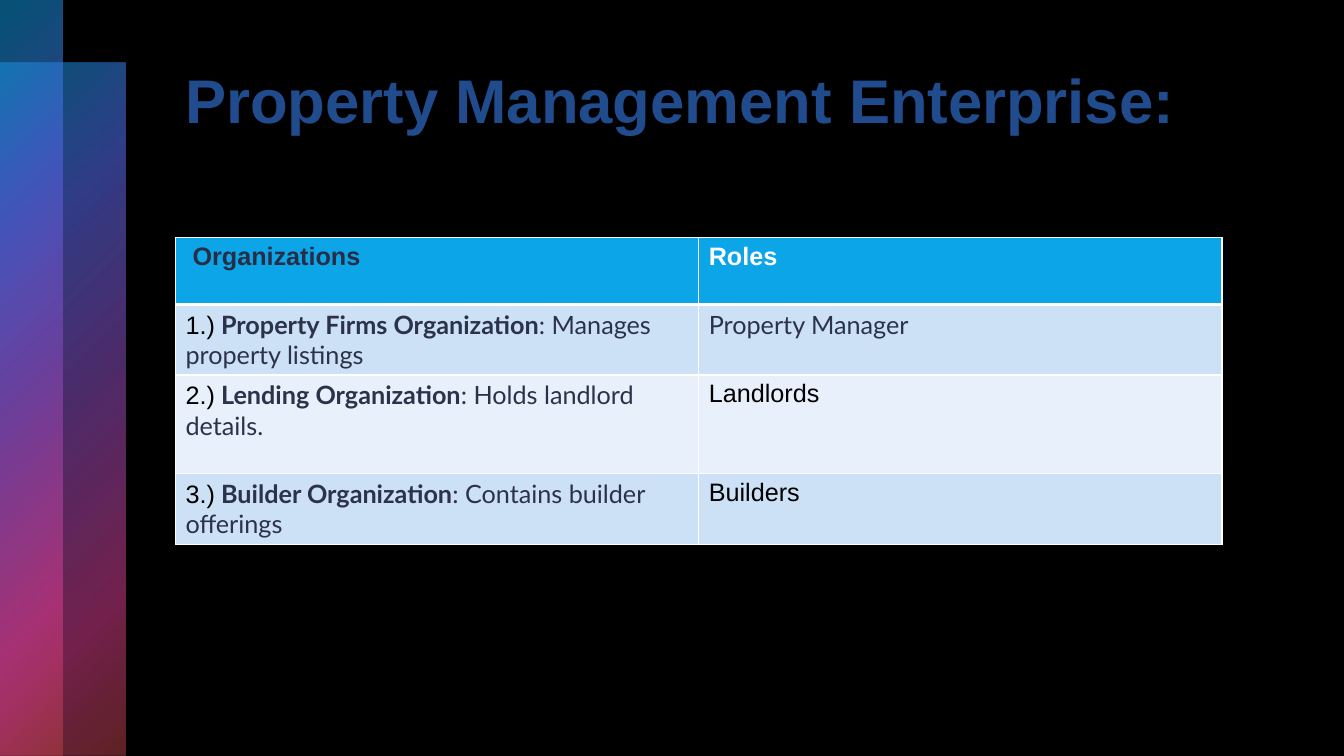
from dataclasses import dataclass

from lxml.etree import SubElement
from pptx import Presentation
from pptx.dml.color import RGBColor
from pptx.enum.shapes import MSO_SHAPE
from pptx.enum.text import MSO_ANCHOR
from pptx.oxml.ns import qn
from pptx.util import Inches, Pt


@dataclass(frozen=True)
class Theme:
    background: str = "000000"
    title: str = "204C8E"
    header: str = "0BA5E8"
    bands: tuple = ("CCE1F6", "E7F0FB")
    white: str = "FFFFFF"
    black: str = "000000"
    heading: str = "272D45"
    body: str = "2C3249"
    sans: str = "Arial"
    humanist: str = "Lato"
    title_size: int = 44
    body_size: int = 18
    glow: tuple = ((0, "0BA5E8", 50), (25, "5066E1", 60), (50, "894EC0", 55),
                   (81, "E54196", 50), (99, "BE4449", 50))


class SlideBuilder:
    """Draw themed elements on one slide."""

    def __init__(self, slide, theme):
        self.slide = slide
        self.theme = theme
        backdrop = slide.background.fill
        backdrop.solid()
        backdrop.fore_color.rgb = RGBColor.from_string(theme.background)

    def add_run(self, paragraph, text, color, bold=False, font=None, size=None):
        run = paragraph.add_run()
        run.text = text
        run.font.name = font or self.theme.sans
        run.font.size = Pt(size or self.theme.body_size)
        run.font.bold = bold
        run.font.color.rgb = RGBColor.from_string(color)

    def glow_panel(self, left, top, width, height):
        panel = self.slide.shapes.add_shape(
            MSO_SHAPE.RECTANGLE, Inches(left), Inches(top), Inches(width), Inches(height))
        panel.shadow.inherit = False
        panel.line.fill.background()
        panel.fill.background()
        properties = panel._element.spPr
        gradient = SubElement(properties, qn("a:gradFill"), rotWithShape="1")
        properties.replace(properties.find(qn("a:noFill")), gradient)
        stops = SubElement(gradient, qn("a:gsLst"))
        for position, color, opacity in self.theme.glow:
            stop = SubElement(stops, qn("a:gs"), pos=str(position * 1000))
            tint = SubElement(stop, qn("a:srgbClr"), val=color)
            SubElement(tint, qn("a:alpha"), val=str(opacity * 1000))
        spread = SubElement(gradient, qn("a:path"), path="circle")
        SubElement(spread, qn("a:fillToRect"), r="100000", b="100000")

    def title(self, text, left, top, width, height):
        heading = self.slide.shapes.add_textbox(
            Inches(left), Inches(top), Inches(width), Inches(height)).text_frame
        heading.word_wrap = True
        heading.vertical_anchor = MSO_ANCHOR.TOP
        heading.margin_top = Inches(0.11)
        self.add_run(heading.paragraphs[0], text, self.theme.title, True,
                     size=self.theme.title_size)

    def border(self, cell, bottom_width):
        properties = cell._tc.get_or_add_tcPr()
        for side, width in (("L", 1), ("R", 1), ("T", 1), ("B", bottom_width)):
            edge = SubElement(properties, qn(f"a:ln{side}"), w=str(Pt(width)))
            paint = SubElement(edge, qn("a:solidFill"))
            SubElement(paint, qn("a:srgbClr"), val=self.theme.white)

    def table(self, rows, heights, left, top, width):
        columns = len(rows[0])
        grid = self.slide.shapes.add_table(
            len(rows), columns, Inches(left), Inches(top),
            Inches(width), Inches(sum(heights))).table
        for column in grid.columns:
            column.width = Inches(width / columns)
        for index, (contents, height) in enumerate(zip(rows, heights)):
            grid.rows[index].height = Inches(height)
            fill = self.theme.bands[(index - 1) % 2] if index else self.theme.header
            for cell, runs in zip(grid.rows[index].cells, contents):
                self.border(cell, 1 if index else 3)
                cell.fill.solid()
                cell.fill.fore_color.rgb = RGBColor.from_string(fill)
                for run in runs:
                    self.add_run(cell.text_frame.paragraphs[0], *run)


def main():
    theme = Theme()
    deck = Presentation()
    deck.slide_width, deck.slide_height = Inches(13.33), Inches(7.5)
    builder = SlideBuilder(deck.slides.add_slide(deck.slide_layouts[6]), theme)

    builder.glow_panel(0, 0.62, 1.24, 6.88)
    builder.glow_panel(0, 0, 0.62, 7.5)
    builder.title("Property Management Enterprise:", 1.74, 0.5, 10.37, 1.7)

    organizations = [
        ("Property Firms", "Manages property listings",
         ("Property Manager", theme.body, False, theme.humanist)),
        ("Lending", "Holds landlord details.", ("Landlords", theme.black)),
        ("Builder", "Contains builder offerings", ("Builders", theme.black)),
    ]
    rows = [[[(" ", theme.white, True), ("Organizations", theme.heading, True)],
             [("Roles", theme.white, True)]]]
    for number, (name, duty, role) in enumerate(organizations, 1):
        description = [
            (f"{number}.)", theme.black),
            (f" {name} Organization", theme.body, True, theme.humanist),
            (f": {duty}", theme.body, False, theme.humanist),
        ]
        rows.append([description, [role]])
    builder.table(rows, (0.66, 0.7, 0.98, 0.7), 1.74, 2.36, 10.38)

    deck.save("out.pptx")


if __name__ == "__main__":
    main()
